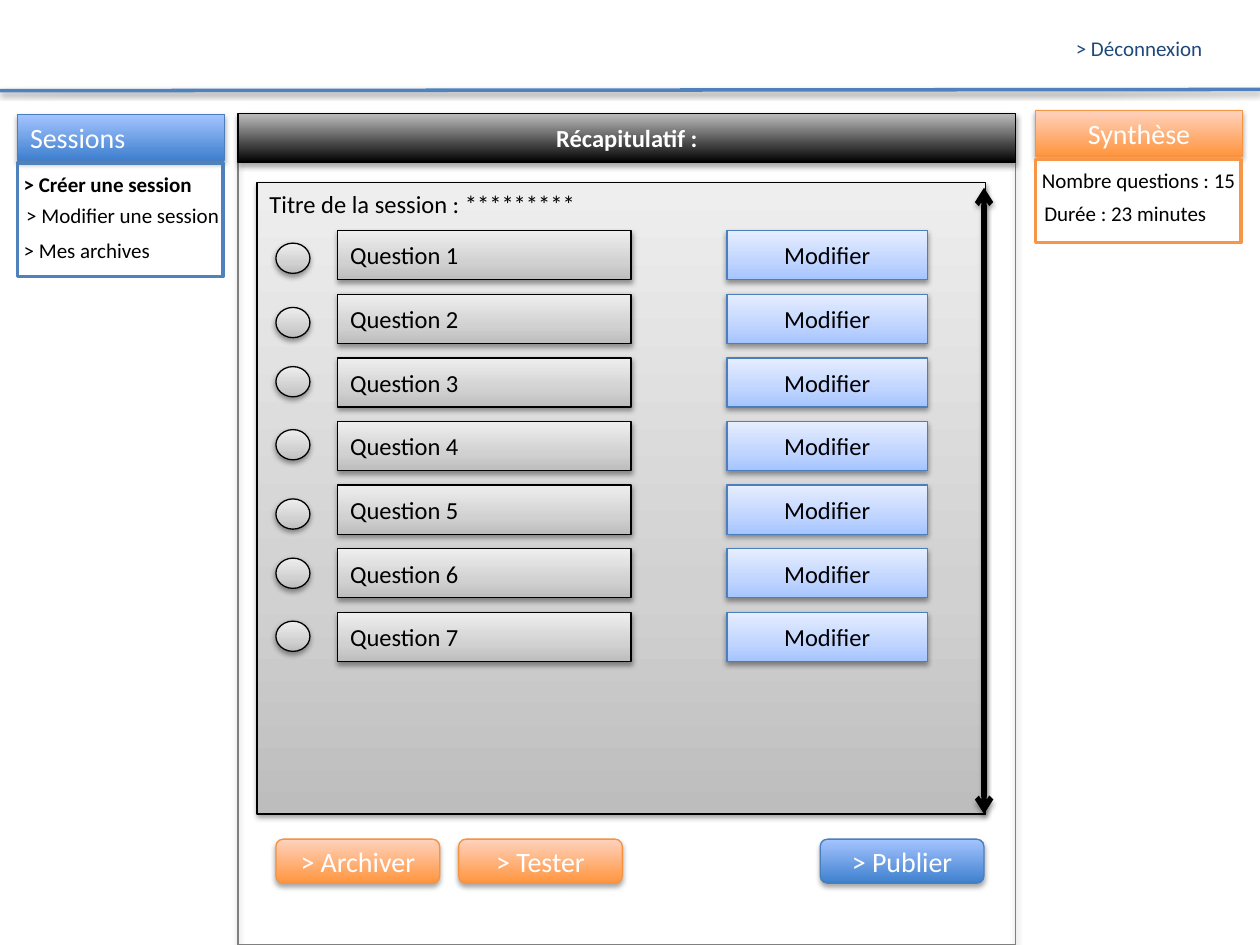
from lxml import etree
from pptx import Presentation
from pptx.dml.color import RGBColor
from pptx.enum.shapes import MSO_CONNECTOR as Connector, MSO_SHAPE as Shape
from pptx.enum.text import MSO_ANCHOR as Anchor, PP_ALIGN as Align
from pptx.oxml.ns import qn
from pptx.util import Inches, Pt

FONT = "Calibri"
BLACK, WHITE = "000000", "FFFFFF"
LIGHT_GREY = [(0, "BDBDBD"), (35, "D1D1D1"), (100, "EEEEEE")]
LIGHT_BLUE = [(0, "A4C4FF"), (35, "BFD4FF"), (100, "E6EEFF")]
DARK = [(0, BLACK), (100, "BDBDBD")]
BLUE = [(0, "3F80CE"), (100, "A4C4FF")]
ORANGE = [(0, "FF953E"), (100, "FFD2BD")]
BLUE_EDGE, ORANGE_EDGE = "4B7EBC", "F69240"
SOFT_SHADOW = (38, 1.6)
DEEP_SHADOW = (35, 1.8)


def color(hex_string):
    return RGBColor.from_string(hex_string)


def add_element(parent, tag, **attributes):
    values = {name: str(value) for name, value in attributes.items()}
    return etree.SubElement(parent, qn(tag), values)


def add_shadow(effects, shadow):
    opacity, distance = shadow
    outer = add_element(effects, "a:outerShdw", blurRad=Pt(3.1), dist=Pt(distance),
                        dir=5400000, rotWithShape=0)
    tint = add_element(outer, "a:srgbClr", val=BLACK)
    add_element(tint, "a:alpha", val=opacity * 1000)


def set_gradient(shape, stops):
    shape.fill.gradient()
    shape.fill.gradient_angle = 90
    stop_list = shape.element.spPr.find(qn("a:gradFill")).find(qn("a:gsLst"))
    for stop in list(stop_list):
        stop_list.remove(stop)
    for position, hex_string in stops:
        stop = add_element(stop_list, "a:gs", pos=position * 1000)
        add_element(stop, "a:srgbClr", val=hex_string)


def set_text(shape, text, size, hex_string, align=Align.LEFT, bold=False):
    paragraph = shape.text_frame.paragraphs[0]
    paragraph.text = text
    paragraph.alignment = align
    font = paragraph.runs[0].font
    font.name, font.size, font.bold = FONT, Pt(size), bold
    font.color.rgb = color(hex_string)


def add_box(slide, kind, left, top, width, height, edge, fill=None, weight=0.75, shadow=None):
    shape = slide.shapes.add_shape(kind, Inches(left), Inches(top), Inches(width), Inches(height))
    if isinstance(fill, list):
        set_gradient(shape, fill)
    elif fill:
        shape.fill.solid()
        shape.fill.fore_color.rgb = color(fill)
    else:
        shape.fill.background()
    shape.line.color.rgb = color(edge)
    shape.line.width = Pt(weight)
    shape.shadow.inherit = False
    if shadow:
        add_shadow(shape.element.spPr.find(qn("a:effectLst")), shadow)
    shape.text_frame.word_wrap = True
    shape.text_frame.vertical_anchor = Anchor.MIDDLE
    return shape


def add_label(slide, left, top, width, text, hex_string=BLACK, bold=False):
    label = slide.shapes.add_textbox(Inches(left), Inches(top), Inches(width), Inches(0.3))
    label.text_frame.word_wrap = True
    set_text(label, text, 12, hex_string, bold=bold)


def add_line(slide, start, end, hex_string, weight, shadow, arrows=False):
    line = slide.shapes.add_connector(Connector.STRAIGHT, *map(Inches, start + end))
    line.line.color.rgb = color(hex_string)
    line.line.width = Pt(weight)
    properties = line.element.spPr
    if arrows:
        outline = properties.find(qn("a:ln"))
        add_element(outline, "a:headEnd", type="arrow")
        add_element(outline, "a:tailEnd", type="arrow")
    add_shadow(add_element(properties, "a:effectLst"), shadow)


def add_button(slide, left, text, fill, edge):
    button = add_box(slide, Shape.ROUNDED_RECTANGLE, left, 6.66, 1.3, 0.35, edge, fill,
                     shadow=DEEP_SHADOW)
    set_text(button, text, 16, WHITE, Align.CENTER)


def add_side_panel(slide, left, top, height, title, align, fill, edge, frame, inside=None):
    header = add_box(slide, Shape.RECTANGLE, left, top, 1.64, 0.36, edge, fill,
                     shadow=DEEP_SHADOW)
    set_text(header, title, 16, WHITE, align)
    add_box(slide, Shape.RECTANGLE, left, top + 0.385, 1.63, height, frame, inside, weight=2)


def add_question(slide, number, top, circle_top):
    add_box(slide, Shape.OVAL, 2.19, circle_top, 0.27, 0.24, BLACK, LIGHT_GREY,
            shadow=SOFT_SHADOW)
    question = add_box(slide, Shape.RECTANGLE, 2.68, top, 2.33, 0.39, BLACK, LIGHT_GREY,
                       shadow=SOFT_SHADOW)
    set_text(question, f"Question {number}", 14, BLACK)
    modify = add_box(slide, Shape.RECTANGLE, 5.77, top, 1.59, 0.39, BLUE_EDGE, LIGHT_BLUE,
                     shadow=SOFT_SHADOW)
    set_text(modify, "Modifier", 14, BLACK, Align.CENTER)


def add_summary(slide):
    add_box(slide, Shape.RECTANGLE, 1.89, 0.91, 6.17, 6.59, "808080", shadow=DEEP_SHADOW)
    header = add_box(slide, Shape.RECTANGLE, 1.89, 0.9, 6.17, 0.39, BLACK, DARK,
                     shadow=DEEP_SHADOW)
    set_text(header, "Récapitulatif :", 14, WHITE, Align.CENTER, bold=True)
    session = add_box(slide, Shape.RECTANGLE, 2.04, 1.45, 5.78, 5.01, BLACK, LIGHT_GREY,
                      shadow=SOFT_SHADOW)
    session.text_frame.vertical_anchor = Anchor.TOP
    set_text(session, "Titre de la session : *********", 14, BLACK)
    circle_tops = [1.93, 2.44, 2.91, 3.41, 3.96, 4.43, 4.93]
    for index, circle_top in enumerate(circle_tops):
        add_question(slide, index + 1, 1.83 + index * 3.03 / 6, circle_top)
    add_line(slide, (7.81, 1.49), (7.81, 6.46), BLACK, 3, DEEP_SHADOW, arrows=True)
    add_button(slide, 2.19, "> Archiver", ORANGE, ORANGE_EDGE)
    add_button(slide, 3.64, "> Tester", ORANGE, ORANGE_EDGE)
    add_button(slide, 6.51, "> Publier", BLUE, BLUE_EDGE)


def main():
    presentation = Presentation()
    presentation.slide_width, presentation.slide_height = Inches(10), Inches(7.5)
    slide = presentation.slides.add_slide(presentation.slide_layouts[6])

    add_line(slide, (0, 0.72), (10, 0.71), "4F81BD", 2, SOFT_SHADOW)
    add_label(slide, 8.44, 0.23, 1.34, "> Déconnexion", "1F497D")

    add_side_panel(slide, 0.14, 0.91, 0.9, "Sessions", Align.LEFT, BLUE, BLUE_EDGE, "4F81BD")
    add_label(slide, 0.09, 1.31, 1.86, "> Créer une session", bold=True)
    add_label(slide, 0.11, 1.56, 1.86, "> Modifier une session")
    add_label(slide, 0.09, 1.84, 1.86, "> Mes archives")

    add_summary(slide)

    add_side_panel(slide, 8.22, 0.88, 0.66, "Synthèse", Align.CENTER, ORANGE, ORANGE_EDGE,
                   "F79646", WHITE)
    add_label(slide, 8.17, 1.28, 1.86, "Nombre questions : 15")
    add_label(slide, 8.19, 1.54, 1.86, "Durée : 23 minutes")

    presentation.save("out.pptx")


if __name__ == "__main__":
    main()
